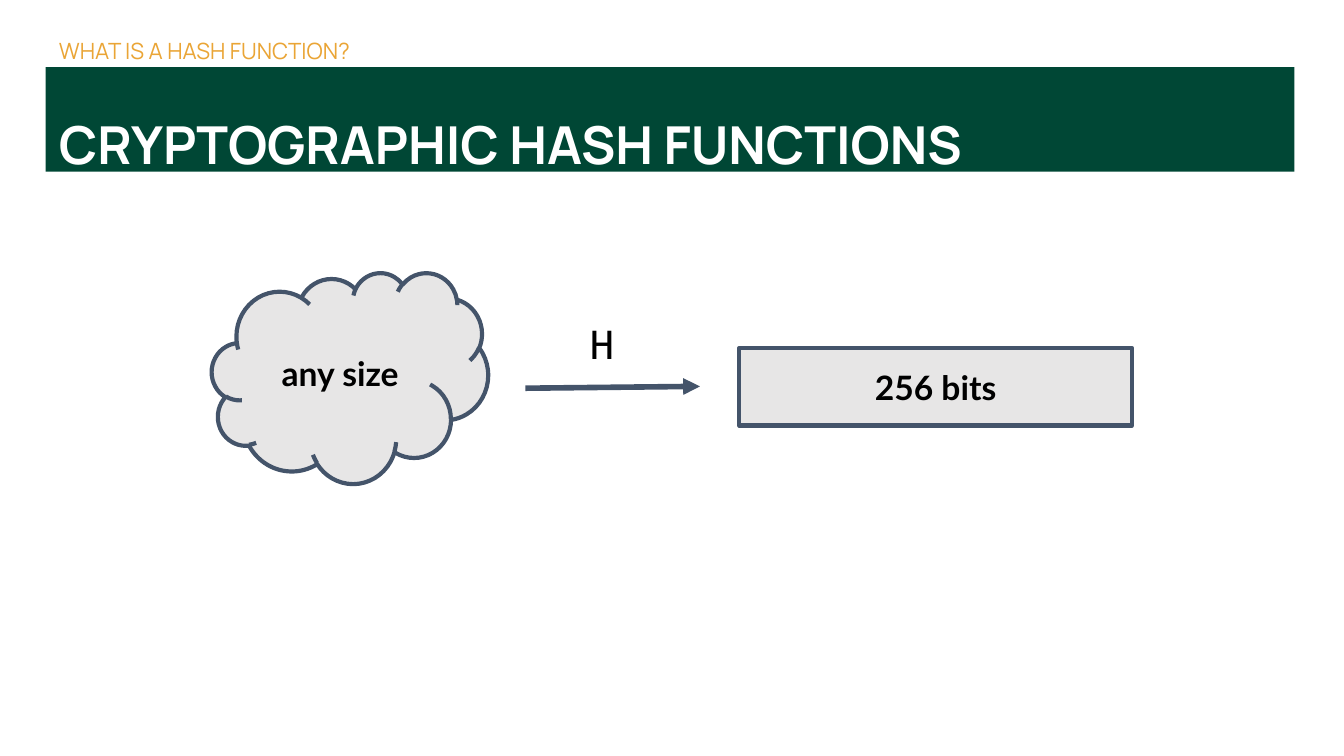
from dataclasses import dataclass

from lxml import etree
from pptx import Presentation
from pptx import util as u
from pptx.dml.color import RGBColor
from pptx.enum import shapes, text
from pptx.oxml.ns import qn


@dataclass(frozen=True)
class Theme:
    green: str = "004735"
    gold: str = "EAA536"
    slate: str = "44546A"
    grey: str = "E7E6E6"
    white: str = "FFFFFF"
    black: str = "000000"
    heading: str = "Manrope"
    body: str = "Lato"
    mono: str = "Courier New"
    eyebrow_size: float = 12
    title_size: float = 28
    label_size: float = 18
    symbol_size: float = 23
    outline: float = 2.25
    arrow: float = 3


class Deck:
    def __init__(self, prs, theme):
        self.theme = theme
        self.slide = prs.slides.add_slide(prs.slide_layouts[6])

    def label(self, sp, words, font, size, color, bold=False, inset=7.2,
              anchor=text.MSO_ANCHOR.MIDDLE, align=text.PP_ALIGN.CENTER, spacing=1.0):
        tf = sp.text_frame
        frame = {"word_wrap": True, "vertical_anchor": anchor}
        frame.update({f"margin_{side}": u.Pt(inset)
                      for side in ("left", "top", "right", "bottom")})
        p = tf.paragraphs[0]
        r = p.add_run()
        r.text = words
        formats = (
            (tf, frame),
            (p, {"alignment": align, "line_spacing": spacing}),
            (r.font, {"name": font, "size": u.Pt(size), "bold": bold}),
        )
        for target, values in formats:
            for name, value in values.items():
                setattr(target, name, value)
        r.font.color.rgb = RGBColor.from_string(color)

    def textbox(self, box, words, font, size, color, **style):
        sp = self.slide.shapes.add_textbox(*map(u.Pt, box))
        self.label(sp, words, font, size, color, **style)

    def shape(self, kind, box, fill, line=None):
        sp = self.slide.shapes.add_shape(kind, *map(u.Pt, box))
        sp.shadow.inherit = False
        sp.fill.solid()
        sp.fill.fore_color.rgb = RGBColor.from_string(fill)
        if line:
            sp.line.color.rgb = RGBColor.from_string(line)
            sp.line.width = u.Pt(self.theme.outline)
        else:
            sp.line.fill.background()
        return sp

    def banner(self, box, words, **style):
        t = self.theme
        sp = self.shape(shapes.MSO_SHAPE.RECTANGLE, box, t.green)
        self.label(sp, words, t.heading, t.title_size, t.white, bold=True, **style)

    def node(self, kind, box, words):
        t = self.theme
        sp = self.shape(kind, box, t.grey, t.slate)
        self.label(sp, words, t.body, t.label_size, t.black, bold=True)

    def arrow(self, start, end):
        cx = self.slide.shapes.add_connector(
            shapes.MSO_CONNECTOR.STRAIGHT, *map(u.Pt, (*start, *end)))
        cx.line.color.rgb = RGBColor.from_string(self.theme.slate)
        cx.line.width = u.Pt(self.theme.arrow)
        sp_pr = cx.element.spPr
        etree.SubElement(sp_pr.find(qn("a:ln")), qn("a:tailEnd"), type="triangle")
        etree.SubElement(sp_pr, qn("a:effectLst"))


def main():
    prs = Presentation()
    prs.slide_width, prs.slide_height = u.Pt(720), u.Pt(405)
    theme = Theme()
    deck = Deck(prs, theme)

    left, width = 24.5, 669
    heading = {"anchor": text.MSO_ANCHOR.TOP, "align": text.PP_ALIGN.LEFT}
    deck.textbox((left, 15, width, 31), "WHAT IS A HASH FUNCTION?", theme.heading,
                 theme.eyebrow_size, theme.gold, spacing=0.9, **heading)
    deck.banner((left, 36, width, 56), "CRYPTOGRAPHIC HASH FUNCTIONS",
                spacing=1.5, **heading)

    deck.arrow((281.5, 208), (375, 207))
    deck.node(shapes.MSO_SHAPE.CLOUD, (113.5, 146, 148, 113), "any size")
    deck.node(shapes.MSO_SHAPE.RECTANGLE, (396, 186.5, 210.5, 41.5), "256 bits")
    deck.textbox((277, 155.5, 91, 56), "H", theme.mono, theme.symbol_size,
                 theme.black, inset=3)

    prs.save("out.pptx")


if __name__ == "__main__":
    main()
